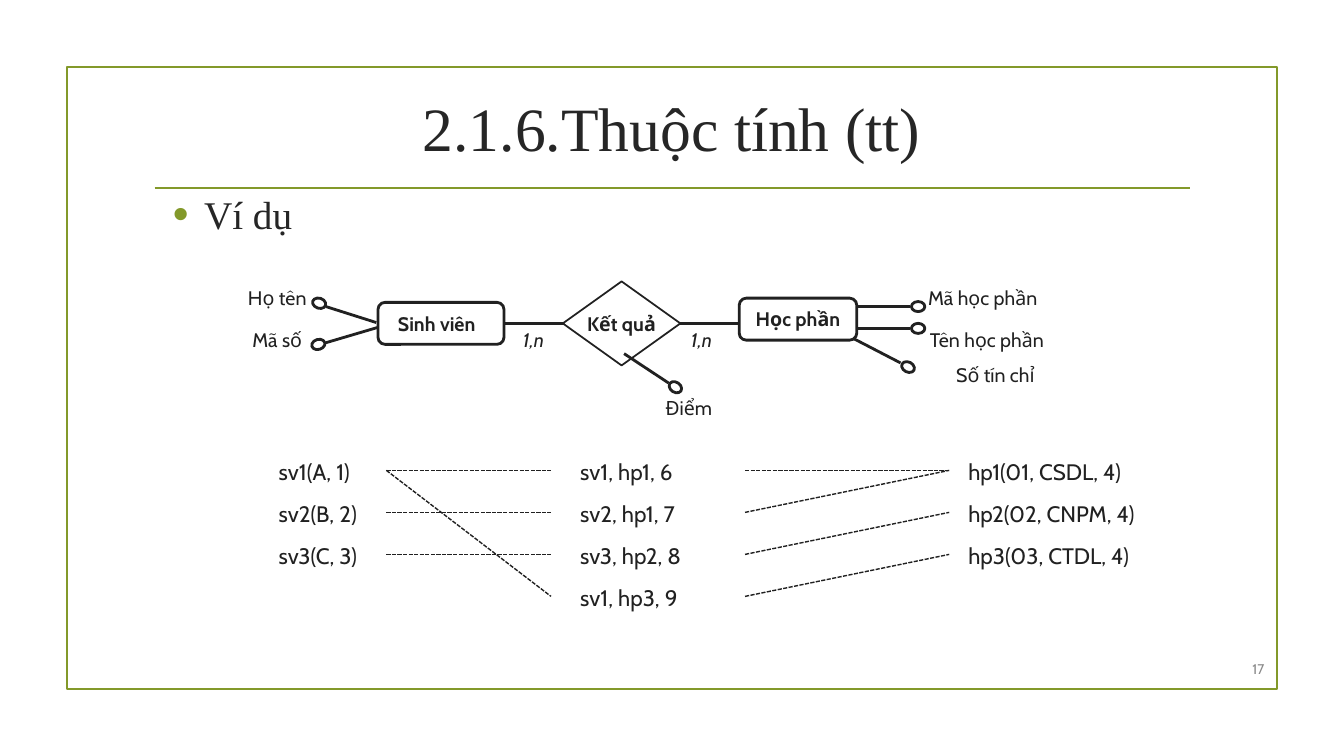
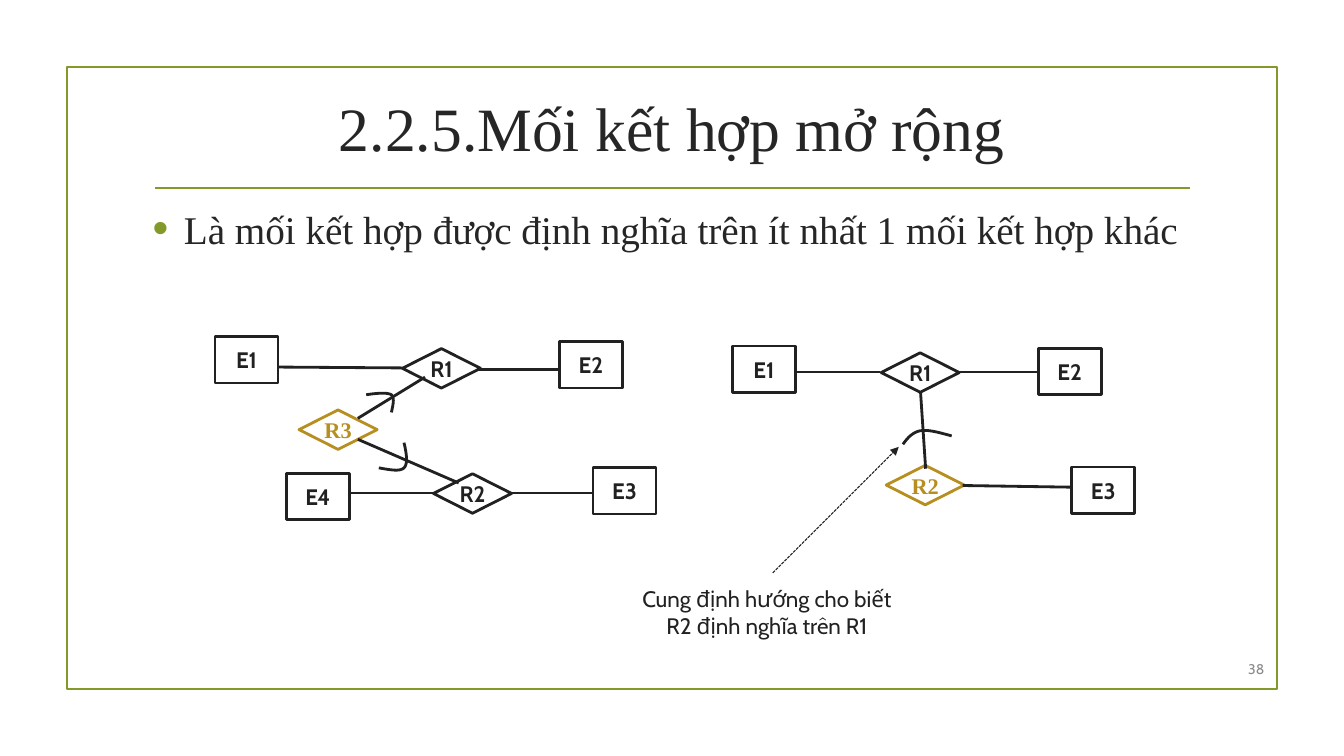
from dataclasses import dataclass
from typing import NamedTuple

from lxml.etree import SubElement
from pptx import Presentation
from pptx.dml.color import RGBColor
from pptx.enum.dml import MSO_LINE
from pptx.enum.shapes import MSO_CONNECTOR, MSO_SHAPE
from pptx.enum.text import MSO_ANCHOR, MSO_AUTO_SIZE, PP_ALIGN
from pptx.oxml.ns import qn
from pptx.util import Emu, Inches, Pt

COLS, ROWS = 160, 90
CELL = Inches(7.5) // ROWS
TITLE_ONLY = 5
Point = tuple[float, float]


@dataclass(frozen=True)
class Theme:
    serif: str = "Times New Roman"
    sans: str = "Cabin"
    green: str = "83992A"
    gold: str = "B78E20"
    ink: str = "212121"
    dark: str = "262626"
    gray: str = "898989"
    white: str = "FFFFFF"
    title: float = 44
    body: float = 28
    item: float = 16
    label: float = 14
    page: float = 10
    thin: float = 1.25
    thick: float = 2


THEME = Theme()


class Area(NamedTuple):
    """Left, top, width and height in grid cells."""
    x: float
    y: float
    w: float
    h: float


class Label(NamedTuple):
    text: str
    x: float
    y: float
    w: float
    italic: bool = False


class Entity(NamedTuple):
    text: str
    area: Area
    kind: MSO_SHAPE
    width: float = THEME.thick
    right: float = 0


class Ring(NamedTuple):
    x: float
    y: float
    turn: float = 0


class Wire(NamedTuple):
    start: Point
    end: Point


class Node(NamedTuple):
    text: str
    x: float
    y: float
    gold: bool = False


class Column(NamedTuple):
    x: float
    w: float
    items: tuple[str, ...]


class Links(NamedTuple):
    """Row pairs joined between two vertical edges."""
    left: float
    right: float
    pairs: tuple[tuple[int, int], ...]


def cells(*values: float) -> list[Emu]:
    return [Emu(round(value * CELL)) for value in values]


def color(code: str) -> RGBColor:
    return RGBColor.from_string(code)


def write(frame, text: str, *, size: float, font: str = THEME.sans, ink: str = THEME.ink,
          bold: bool = False, italic: bool = False, align=PP_ALIGN.LEFT,
          anchor=MSO_ANCHOR.TOP, wrap: bool = True, bullet: bool = False) -> None:
    frame.auto_size = MSO_AUTO_SIZE.NONE
    frame.word_wrap, frame.vertical_anchor = wrap, anchor
    para = frame.paragraphs[0]
    if bullet:
        add_bullet(para)
    run = para.add_run()
    run.text = text
    para.alignment = align
    run.font.name, run.font.size = font, Pt(size)
    run.font.bold, run.font.italic = bold, italic
    run.font.color.rgb = color(ink)


def add_bullet(para) -> None:
    props = para._p.get_or_add_pPr()
    props.set("marL", str(Inches(0.31)))
    props.set("indent", str(-Inches(0.31)))
    tint = SubElement(props, qn("a:buClr"))
    SubElement(tint, qn("a:srgbClr"), val=THEME.green)
    SubElement(props, qn("a:buSzPct"), val="115000")
    SubElement(props, qn("a:buFont"), typeface="Arial")
    SubElement(props, qn("a:buChar"), char="•")
    para.space_after = Pt(6)


def add_text(slide, area: Area, text: str, **style) -> None:
    write(slide.shapes.add_textbox(*cells(*area)).text_frame, text, **style)


def add_box(slide, kind, area: Area, *, line: str = THEME.ink,
            width: float = THEME.thick, filled: bool = True):
    box = slide.shapes.add_shape(kind, *cells(*area))
    box.shadow.inherit = False
    if filled:
        box.fill.solid()
        box.fill.fore_color.rgb = color(THEME.white)
    else:
        box.fill.background()
    box.line.color.rgb, box.line.width = color(line), Pt(width)
    return box


def fill_box(box, text: str, right: float = 0, **style) -> None:
    """Centre bold text in a box; right is an inset in cells."""
    frame = box.text_frame
    frame.margin_left = frame.margin_top = frame.margin_bottom = 0
    frame.margin_right = cells(right)[0]
    write(frame, text, bold=True, align=PP_ALIGN.CENTER,
          anchor=MSO_ANCHOR.MIDDLE, wrap=False, **style)


def add_wire(slide, start: Point, end: Point, *, line: str = THEME.ink,
             width: float = THEME.thick, dashed: bool = False, arrow: bool = False) -> None:
    wire = slide.shapes.add_connector(MSO_CONNECTOR.STRAIGHT, *cells(*start, *end))
    wire.line.color.rgb, wire.line.width = color(line), Pt(width)
    if dashed:
        wire.line.dash_style = MSO_LINE.SQUARE_DOT
    props = wire.element.spPr
    if arrow:
        SubElement(props.find(qn("a:ln")), qn("a:tailEnd"), type="triangle")
    SubElement(props, qn("a:effectLst"))


def add_curve(slide, points: tuple[Point, ...], steps: int = 10) -> None:
    """Draw joined cubic curves through every third point."""
    trail = []
    for first in range(0, len(points) - 1, 3):
        a, b, c, d = points[first:first + 4]
        for step in range(1, steps + 1):
            t = step / steps
            s = 1 - t
            trail.append(cells(*(s**3 * a[i] + 3 * s * s * t * b[i] + 3 * s * t * t * c[i]
                                 + t**3 * d[i] for i in (0, 1))))
    outline = slide.shapes.build_freeform(*cells(*points[0]))
    outline.add_line_segments(trail, close=False)
    curve = outline.convert_to_shape()
    curve.shadow.inherit = False
    curve.fill.background()
    curve.line.color.rgb, curve.line.width = color(THEME.ink), Pt(THEME.thick)


def add_page(deck, title: str, body: str, area: Area, number: int):
    """Add a slide with the shared frame, title, rule, bullet and number."""
    slide = deck.slides.add_slide(deck.slide_layouts[TITLE_ONLY])
    add_box(slide, MSO_SHAPE.RECTANGLE, Area(8, 8, 144, 74),
            line=THEME.green, width=THEME.thin, filled=False)
    add_wire(slide, (18.4, 22.4), (141.7, 22.4), line=THEME.green, width=THEME.thin)
    head = slide.shapes.title
    head.left, head.top, head.width, head.height = cells(17, 8.2, 126, 13.7)
    write(head.text_frame, title, size=THEME.title, font=THEME.serif, ink=THEME.dark,
          align=PP_ALIGN.CENTER, anchor=MSO_ANCHOR.MIDDLE)
    add_text(slide, area, body, size=THEME.body, font=THEME.serif, ink=THEME.dark, bullet=True)
    add_text(slide, Area(144.6, 77.8, 7.1, 3.7), str(number), size=THEME.page,
             ink=THEME.gray, align=PP_ALIGN.RIGHT, anchor=MSO_ANCHOR.MIDDLE)
    return slide


ENTITIES = (
    Entity("Học phần", Area(88, 35.5, 14, 5), MSO_SHAPE.ROUNDED_RECTANGLE),
    Entity("Sinh viên", Area(45, 36, 15, 5), MSO_SHAPE.ROUNDED_RECTANGLE, right=1),
    Entity("Kết quả", Area(67, 33.5, 14, 10), MSO_SHAPE.DIAMOND, THEME.thin),
)
LABELS = (
    Label("1,n", 59, 38.5, 9, True), Label("1,n", 79, 38.5, 9, True),
    Label("Họ tên", 28, 33.5, 10), Label("Mã số", 28, 38.5, 10),
    Label("Mã học phần", 108, 33.5, 18), Label("Tên học phần", 108, 38.5, 19),
    Label("Số tín chỉ", 109, 42.6, 19), Label("Điểm", 77, 46.6, 10),
)
STEMS = (
    Wire((44.8, 38.4), (38.8, 36.5)), Wire((44.9, 39), (38.8, 40.8)),
    Wire((60, 38.5), (67, 38.5)), Wire((81, 38.5), (88, 38.5)),
    Wire((102, 36.5), (108.3, 36.5)), Wire((102, 39.1), (108.3, 39.1)),
    Wire((101.6, 40.3), (107.2, 43.2)), Wire((74.3, 42.1), (79.6, 45.6)),
)
RINGS = (
    Ring(37.2, 35.5, 198), Ring(37.1, 40.4, 164), Ring(108.5, 35.9),
    Ring(108.5, 38.5), Ring(107.3, 43.1, 27), Ring(79.6, 45.5, 34),
)
COLUMNS = (
    Column(32, 24, ("sv1(A, 1)", "sv2(B, 2)", "sv3(C, 3)")),
    Column(67.9, 24, ("sv1, hp1, 6", "sv2, hp1, 7", "sv3, hp2, 8", "sv1, hp3, 9")),
    Column(114.1, 27, ("hp1(01, CSDL, 4)", "hp2(02, CNPM, 4)", "hp3(03, CTDL, 4)")),
)
LINKS = (
    Links(46, 65.6, ((0, 0), (1, 1), (2, 2), (0, 3))),
    Links(88.7, 113, ((0, 0), (1, 0), (2, 1), (3, 2))),
)
SQUARES = (
    Node("E1", 87.2, 41.2), Node("E2", 123.6, 41.5), Node("E3", 127.6, 55.6),
    Node("E1", 25.6, 40.1), Node("E2", 66.6, 40.7), Node("E3", 70.6, 55.7),
    Node("E4", 34.1, 56.4),
)
DIAMONDS = (
    Node("R1", 104.9, 42), Node("R2", 105.5, 55.4, True), Node("R1", 47.9, 41.5),
    Node("R2", 51.6, 56.4), Node("R3", 35.6, 48.8, True),
)
EDGES = (
    Wire((109.6, 46.8), (110.2, 55.8)), Wire((114.6, 57.8), (127.6, 58)),
    Wire((94.8, 44.3), (104.8, 44.3)), Wire((114.2, 44.3), (123.6, 44.3)),
    Wire((33, 43.7), (47.9, 43.8)), Wire((50.6, 44.9), (42.6, 49.8)),
    Wire((42.6, 52.3), (54.6, 57.5)), Wire((57, 44), (66.6, 44)),
    Wire((60.6, 58.7), (70.6, 58.7)), Wire((41.6, 58.7), (51.6, 58.7)),
)
ARCS = (
    ((107.5, 52.9), (108, 52.2), (108.6, 51.5), (109.5, 51.3),
     (110.5, 51.1), (111.8, 51.5), (113.3, 51.9)),
    ((43.6, 47), (44.9, 46.8), (46.1, 46.7), (46.6, 47),
     (47, 47.4), (46.8, 48.2), (46.6, 49.1)),
    ((48.1, 52.7), (48.4, 54), (48.6, 55.2), (48.1, 55.7),
     (47.6, 56.2), (46.3, 55.9), (45.1, 55.7)),
)


def draw_model(slide) -> None:
    for text, area, kind, width, right in ENTITIES:
        fill_box(add_box(slide, kind, area, width=width), text, right, size=THEME.label)
    for wire in STEMS:
        add_wire(slide, *wire)
    for x, y, turn in RINGS:
        add_box(slide, MSO_SHAPE.OVAL, Area(x, y, 1.6, 1.2)).rotation = turn
    for text, x, y, w, italic in LABELS:
        add_text(slide, Area(x, y, w, 4.1), text, size=THEME.label,
                 italic=italic, align=PP_ALIGN.CENTER)


def draw_data(slide, top: float = 54, step: float = 5) -> None:
    for x, w, items in COLUMNS:
        for row, text in enumerate(items):
            add_text(slide, Area(x, top + row * step, w, 4.4), text, size=THEME.item)
    for left, right, pairs in LINKS:
        for start, end in pairs:
            add_wire(slide, (left, top + 2 + start * step), (right, top + 2 + end * step),
                     width=1, dashed=True)


def draw_graph(slide) -> None:
    kinds = ((MSO_SHAPE.RECTANGLE, 7.5, 5.5, SQUARES), (MSO_SHAPE.DIAMOND, 9.3, 4.7, DIAMONDS))
    for kind, w, h, nodes in kinds:
        for text, x, y, gold in nodes:
            ink, font = (THEME.gold, THEME.serif) if gold else (THEME.ink, THEME.sans)
            box = add_box(slide, kind, Area(x, y, w, h), line=ink)
            fill_box(box, text, size=THEME.item, ink=ink, font=font)
    for wire in EDGES:
        add_wire(slide, *wire)
    for points in ARCS:
        add_curve(slide, points)
    add_text(slide, Area(74.8, 69.1, 33, 10.9), "Cung định hướng cho biết R2 định nghĩa trên R1",
             size=THEME.item, align=PP_ALIGN.CENTER)
    add_wire(slide, (92, 68.2), (107, 53.2), width=0.75, dashed=True, arrow=True)


def main() -> None:
    deck = Presentation()
    deck.slide_width, deck.slide_height = cells(COLS, ROWS)
    sample = add_page(deck, "2.1.6.Thuộc tính (tt)", "Ví dụ", Area(19.4, 22.1, 22.8, 7.9), 17)
    draw_model(sample)
    draw_data(sample)
    draw_graph(add_page(deck, "2.2.5.Mối kết hợp mở rộng",
                        "Là mối kết hợp được định nghĩa trên ít nhất 1 mối kết hợp khác",
                        Area(17, 23.8, 126, 57.6), 38))
    deck.save("out.pptx")


if __name__ == "__main__":
    main()
